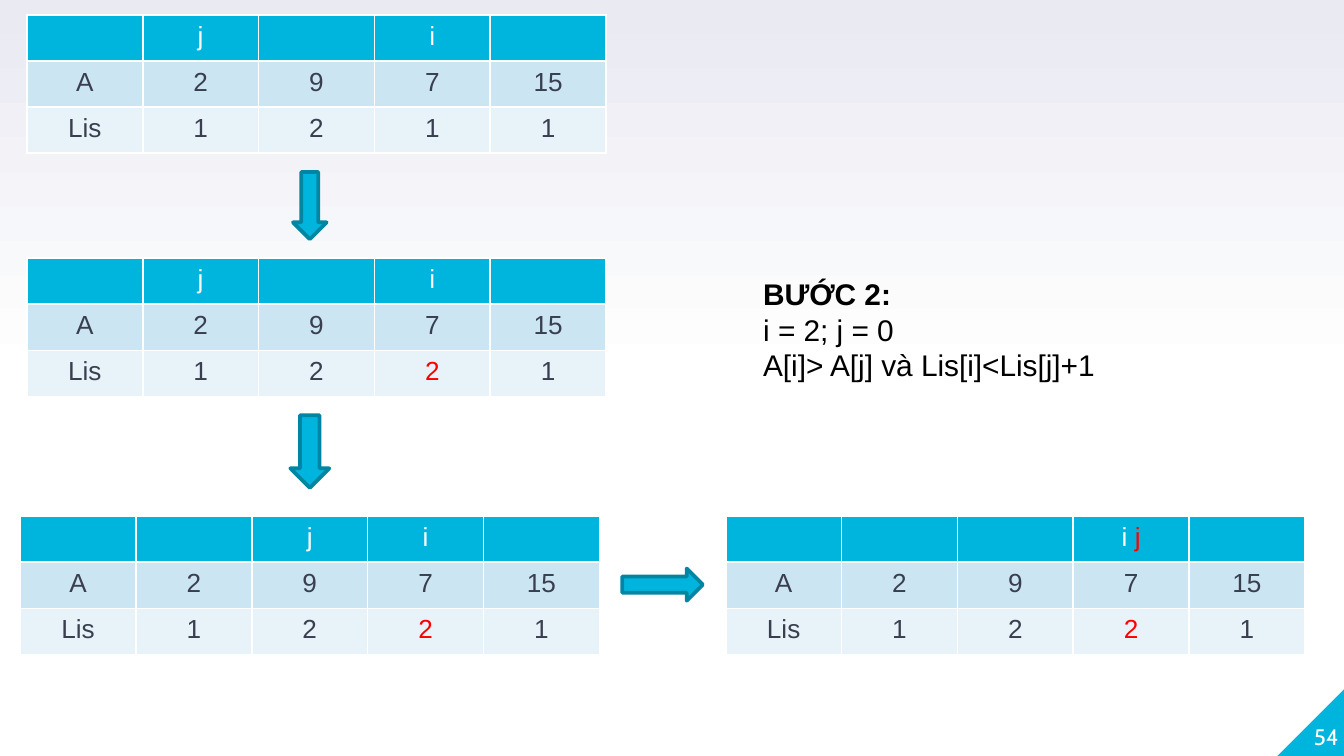
from copy import deepcopy
from lxml.etree import SubElement
from pptx import Presentation
from pptx.dml.color import RGBColor
from pptx.enum.shapes import MSO_SHAPE as Preset
from pptx.enum.text import MSO_ANCHOR as Anchor, MSO_AUTO_SIZE as AutoSize, PP_ALIGN as Align
from pptx.oxml.ns import qn
from pptx.util import Inches, Pt

THEME = {
    "accent": "00B5DD", "accent_line": "0086A3", "white": "FFFFFF",
    "dark": "3A3F50", "black": "000000", "red": "FF0000",
    "band": "CCE5F2", "light": "E7F3F9", "sky": "E9EAF2",
    "font": "Arial", "number_font": "Cabin",
    "table_size": 14, "note_size": 16, "number_size": 12,
}
SLIDE_WIDTH = Inches(10)
SLIDE_HEIGHT = SLIDE_WIDTH * 9 // 16
GRADIENT = [(0, "white"), (0.5, "white"), (1, "sky")]
VALUES = ["A", "2", "9", "7", "15"]
LIS_BEFORE = ["Lis", "1", "2", "1", "1"]
LIS_AFTER = ["Lis", "1", "2", [("2", "red")], "1"]
TABLES = [
    ((5.4, 3.84), ["", "", "", [("i ", "white"), ("j", "red")], ""], LIS_AFTER),
    ((0.2, 0.11), ["", "j", "", "i", ""], LIS_BEFORE),
    ((0.2, 1.92), ["", "j", "", "i", ""], LIS_AFTER),
    ((0.15, 3.84), ["", "", "j", "i", ""], LIS_AFTER),
]
TABLE_SIZE = (4.31, 1.03)
ROW_STYLES = [("accent", "white"), ("band", "dark"), ("light", "dark")]
ARROWS = [
    ((2.18, 1.28, 0.25, 0.5), 0),
    ((2.16, 3.09, 0.29, 0.54), 0),
    ((4.81, 4.05, 0.24, 0.6), 270),
]
NOTE = [("BƯỚC 2:", True), ("i = 2; j = 0", False), ("A[i]> A[j] và Lis[i]<Lis[j]+1", False)]
NOTE_BOX = (5.58, 2, 3.29, 0.91)
SLIDE_NUMBER = "54"
NUMBER_BOX = (9.46, 5.07, 0.5, 0.51)
CORNER_BOX = (9.5, 5.12, 0.51, 0.51)


def color(name):
    return RGBColor.from_string(THEME[name])


def inches(box):
    return [Inches(value) for value in box]


def apply(target, formats):
    for name, value in formats.items():
        setattr(target, name, value)


def add_run(paragraph, text, size, color_name, bold=False, font="font"):
    run = paragraph.add_run()
    run.text = text
    apply(run.font, {"name": THEME[font], "size": Pt(THEME[size]), "bold": bold})
    run.font.color.rgb = color(color_name)


def set_background(slide):
    fill = slide.background.fill
    fill.gradient()
    fill.gradient_angle = 90
    stop_list = next(slide.element.iter(qn("a:gsLst")))
    stop_list.append(deepcopy(stop_list[0]))
    for stop, (position, name) in zip(fill.gradient_stops, GRADIENT):
        stop.position = position
        stop.color.rgb = color(name)


def add_preset(slide, preset, box):
    shape = slide.shapes.add_shape(preset, *inches(box))
    shape.shadow.inherit = False
    shape.fill.solid()
    shape.fill.fore_color.rgb = color("accent")
    return shape


def add_corner(slide):
    triangle = add_preset(slide, Preset.RIGHT_TRIANGLE, CORNER_BOX)
    triangle.line.fill.background()
    next(triangle.element.iter(qn("a:xfrm"))).set("flipH", "1")
    text_frame = slide.shapes.add_textbox(*inches(NUMBER_BOX)).text_frame
    apply(text_frame, {
        "word_wrap": True, "vertical_anchor": Anchor.BOTTOM, "margin_left": 0,
        "margin_right": 0, "margin_top": 0, "margin_bottom": 0,
    })
    paragraph = text_frame.paragraphs[0]
    paragraph.alignment = Align.RIGHT
    add_run(paragraph, SLIDE_NUMBER, "number_size", "white", font="number_font")


def add_note(slide):
    text_frame = slide.shapes.add_textbox(*inches(NOTE_BOX)).text_frame
    apply(text_frame, {"word_wrap": True, "auto_size": AutoSize.SHAPE_TO_FIT_TEXT})
    for index, (text, bold) in enumerate(NOTE):
        paragraph = text_frame.add_paragraph() if index else text_frame.paragraphs[0]
        add_run(paragraph, text, "note_size", "black", bold)


def set_borders(cell):
    properties = cell._tc.get_or_add_tcPr()
    for side in "LRTB":
        border = SubElement(properties, qn(f"a:ln{side}"), w=str(Pt(1)))
        fill = SubElement(border, qn("a:solidFill"))
        SubElement(fill, qn("a:srgbClr"), val=THEME["white"])


def fill_cell(cell, content, style):
    fill_name, text_color = style
    set_borders(cell)
    cell.fill.solid()
    cell.fill.fore_color.rgb = color(fill_name)
    paragraph = cell.text_frame.paragraphs[0]
    paragraph.alignment = Align.CENTER
    if not content:
        SubElement(paragraph._p, qn("a:endParaRPr"), sz=str(THEME["table_size"] * 100))
        return
    runs = [(content, text_color)] if isinstance(content, str) else content
    for text, name in runs:
        add_run(paragraph, text, "table_size", name)


def add_step_table(slide, position, header, lis):
    rows = [header, VALUES, lis]
    table = slide.shapes.add_table(len(rows), len(header), *inches(position + TABLE_SIZE)).table
    for row_index, (row, style) in enumerate(zip(rows, ROW_STYLES)):
        for column_index, content in enumerate(row):
            fill_cell(table.cell(row_index, column_index), content, style)


def add_arrow(slide, box, rotation):
    arrow = add_preset(slide, Preset.DOWN_ARROW, box)
    arrow.rotation = rotation
    arrow.line.color.rgb = color("accent_line")
    arrow.line.width = Pt(2)


def main():
    presentation = Presentation()
    apply(presentation, {"slide_width": SLIDE_WIDTH, "slide_height": SLIDE_HEIGHT})
    slide = presentation.slides.add_slide(presentation.slide_layouts[6])
    set_background(slide)
    add_corner(slide)
    add_note(slide)
    for position, header, lis in TABLES:
        add_step_table(slide, position, header, lis)
    for box, rotation in ARROWS:
        add_arrow(slide, box, rotation)
    presentation.save("out.pptx")


if __name__ == "__main__":
    main()
